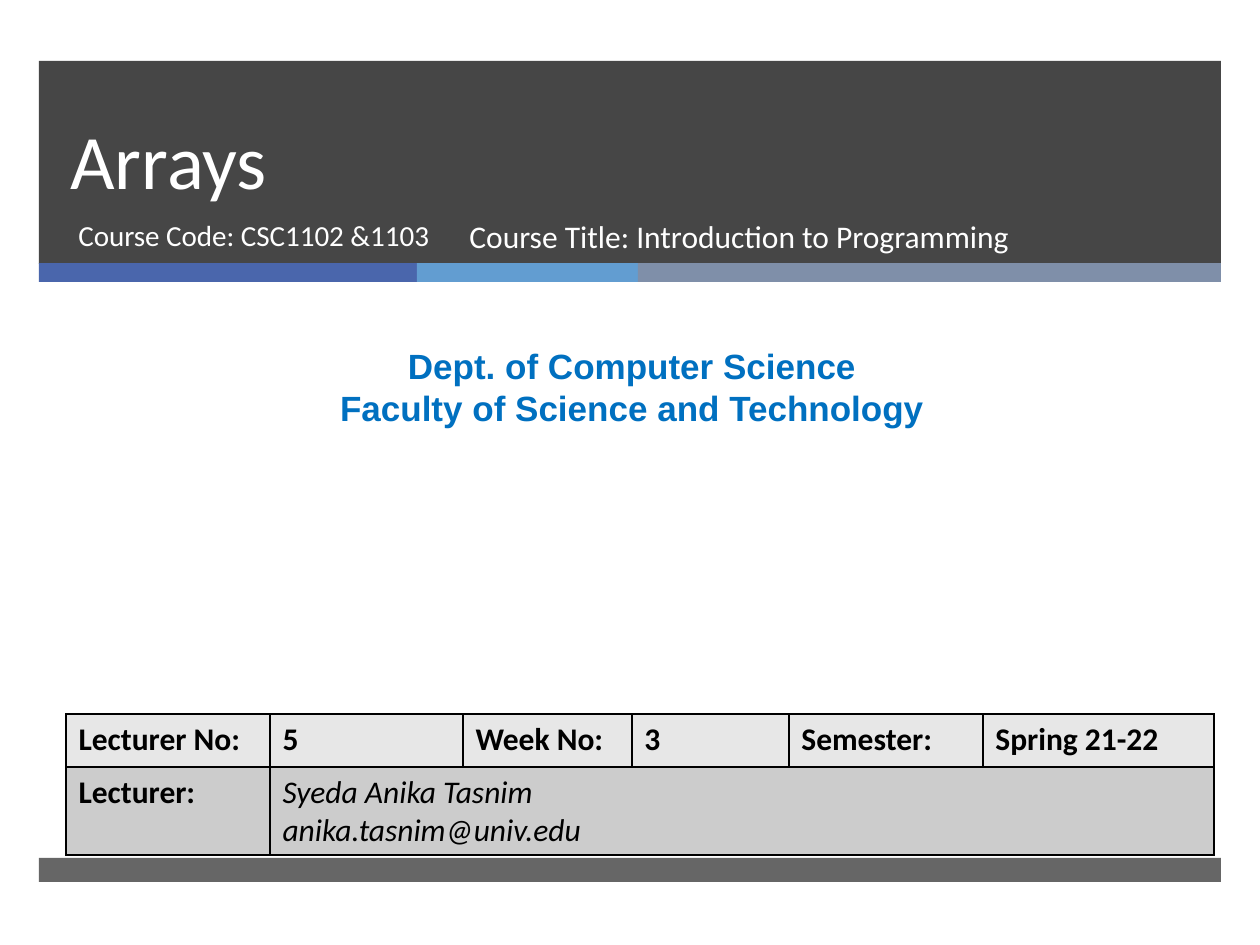
from lxml.etree import SubElement
from pptx import Presentation
from pptx.dml.color import RGBColor
from pptx.enum.shapes import MSO_SHAPE
from pptx.enum.text import MSO_ANCHOR, PP_ALIGN
from pptx.oxml.ns import qn
from pptx.util import Emu, Pt

PX = 914400 / 126
WHITE = RGBColor(0xFF, 0xFF, 0xFF)
BLACK = RGBColor(0, 0, 0)
DARK = RGBColor(0x26, 0x26, 0x26)
BLUE = RGBColor(0x4A, 0x66, 0xAC)
SKY = RGBColor(0x62, 0x9D, 0xD1)
SLATE = RGBColor(0x7F, 0x8F, 0xA9)
DEPT_BLUE = RGBColor(0x00, 0x70, 0xC0)
LIGHT_GREY = RGBColor(0xE7, 0xE7, 0xE7)
MID_GREY = RGBColor(0xCC, 0xCC, 0xCC)


def px(*lengths):
    return [Emu(round(n * PX)) for n in lengths]


def add_bar(s, x, y, w, h, color, alpha=100):
    sp = s.shapes.add_shape(MSO_SHAPE.RECTANGLE, *px(x, y, w, h))
    sp.shadow.inherit = False
    sp.fill.solid()
    sp.fill.fore_color.rgb = color
    sp.line.fill.background()
    if alpha < 100:
        clr = sp.fill._xPr.find(qn("a:solidFill"))[0]
        SubElement(clr, qn("a:alpha")).set("val", str(alpha * 1000))


def write(tf, lines, size, color, font="Calibri", bold=False, italic=False,
          align=PP_ALIGN.LEFT):
    for i, line in enumerate(lines):
        p = tf.paragraphs[0] if i == 0 else tf.add_paragraph()
        p.text = line
        p.alignment = align
        f = p.font
        f.name, f.size, f.bold, f.italic = font, Pt(size), bold, italic
        f.color.rgb = color


def add_text(s, x, y, w, h, lines, size, color, **style):
    tf = s.shapes.add_textbox(*px(x, y, w, h)).text_frame
    tf.word_wrap = True
    write(tf, lines, size, color, **style)
    return tf


def add_header(s, x, y, w, h):
    add_bar(s, x, y, w, h, DARK, 85)
    # Three-colour stripe under the panel
    left = x
    for width, color in ((378, BLUE), (221, SKY), (w - 599, SLATE)):
        add_bar(s, left, y + h - 1, width, 19, color)
        left += width
    # Title and course details
    tf = add_text(s, x + 19, y, 1076, 150, ["Arrays"], 44, WHITE)
    tf.vertical_anchor = MSO_ANCHOR.BOTTOM
    tf.paragraphs[0].line_spacing = Pt(46)
    add_text(s, x + 27, y + 150, 404, 67,
             ["Course Code: CSC1102 &1103"], 16.6, WHITE)
    add_text(s, x + 418, y + 150, 573, 67,
             ["Course Title: Introduction to Programming"], 18, WHITE)


def add_department(s, x, y, w, h):
    add_text(s, x, y, w, h,
             ["Dept. of Computer Science", "Faculty of Science and Technology"],
             20, DEPT_BLUE, font="Arial", bold=True, align=PP_ALIGN.CENTER)


def set_borders(cell):
    tc_pr = cell._tc.get_or_add_tcPr()
    for i, side in enumerate(("lnL", "lnR", "lnT", "lnB")):
        ln = tc_pr.makeelement(qn(f"a:{side}"), {"w": str(Pt(1))})
        fill = SubElement(ln, qn("a:solidFill"))
        SubElement(fill, qn("a:srgbClr")).set("val", str(BLACK))
        tc_pr.insert(i, ln)


def add_lecture_table(s, x, y, w, h):
    cols = (204, 193, 169, 157, 194, w - 917)
    rows = (53, h - 53)
    table = s.shapes.add_table(2, 6, *px(x, y, w, h)).table
    for col, width in zip(table.columns, px(*cols)):
        col.width = width
    for row, height in zip(table.rows, px(*rows)):
        row.height = height
    table.cell(1, 1).merge(table.cell(1, 5))
    for r, color in enumerate((LIGHT_GREY, MID_GREY)):
        for c in range(6):
            cell = table.cell(r, c)
            cell.fill.solid()
            cell.fill.fore_color.rgb = color
            set_borders(cell)
    labels = ("Lecturer No:", "5", "Week No:", "3", "Semester:", "Spring 21-22")
    for c, label in enumerate(labels):
        write(table.cell(0, c).text_frame, [label], 18, BLACK, bold=True)
    write(table.cell(1, 0).text_frame, ["Lecturer:"], 18, BLACK, bold=True)
    write(table.cell(1, 1).text_frame,
          ["Syeda Anika Tasnim", "anika.tasnim@univ.edu"], 18, BLACK, italic=True)


def main():
    prs = Presentation()
    prs.slide_width, prs.slide_height = px(1260, 945)
    s = prs.slides.add_slide(prs.slide_layouts[6])
    add_header(s, 39, 61, 1182, 203)
    add_bar(s, 39, 858, 1182, 24, DARK, 70)  # footer
    add_department(s, 10, 338, 1244, 97)
    add_lecture_table(s, 66, 714, 1148, 141)
    prs.save("out.pptx")


if __name__ == "__main__":
    main()
